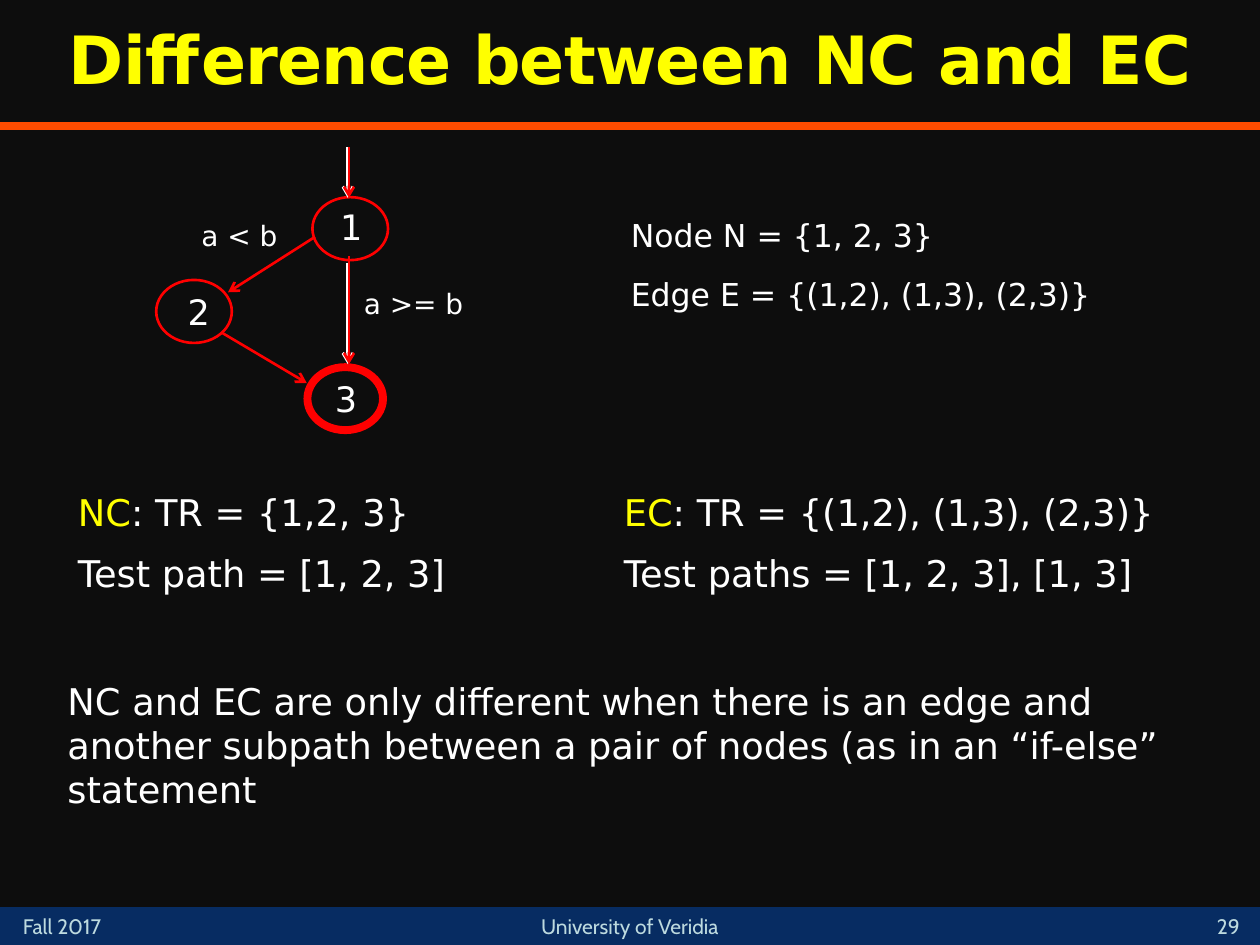
"""Build a slide on the difference between node and edge coverage."""
import dataclasses
import pptx
import pptx.util
import pptx.dml.color
import pptx.enum.shapes
import pptx.enum.text
import pptx.oxml.ns
import lxml.etree

ALIGN = pptx.enum.text.PP_ALIGN
ANCHOR = pptx.enum.text.MSO_ANCHOR
SHAPE = pptx.enum.shapes.MSO_SHAPE


@dataclasses.dataclass(frozen=True)
class Theme:
    ground: str = "0D0D0D"
    white: str = "FFFFFF"
    red: str = "FF0000"
    yellow: str = "FFFF00"
    rule: str = "FF4C00"
    band: str = "072C62"
    pale: str = "BDDADF"
    main: str = "DejaVu Sans"
    foot: str = "Cabin"
    title: int = 38
    body: int = 21
    node: int = 20
    sets: int = 18
    label: int = 16
    small: int = 12
    thin: float = 1.5
    thick: float = 4.5


def color(code):
    return pptx.dml.color.RGBColor.from_string(code)


def apply(target, values):
    for name, value in values.items():
        setattr(target, name, value)


class Deck:
    """Draw on one slide with a grid of 100 columns and 75 rows."""

    def __init__(self, theme):
        self.theme = theme
        self.file = pptx.Presentation()
        apply(self.file, {"slide_width": self.grid(100), "slide_height": self.grid(75)})
        self.slide = self.file.slides.add_slide(self.file.slide_layouts[6])
        fill = self.slide.background.fill
        fill.solid()
        fill.fore_color.rgb = color(theme.ground)

    def grid(self, count):
        return pptx.util.Inches(count / 10)

    def shape(self, kind, box, fill=None, line=None, width=1.5):
        item = self.slide.shapes.add_shape(kind, *map(self.grid, box))
        item.shadow.inherit = False
        for paint, code in ((item.fill, fill), (item.line.fill, line)):
            if code:
                paint.solid()
                paint.fore_color.rgb = color(code)
            else:
                paint.background()
        if line:
            item.line.width = pptx.util.Pt(width)

    def line(self, start, end, code, width, arrow=False):
        ends = map(self.grid, (*start, *end))
        item = self.slide.shapes.add_connector(pptx.enum.shapes.MSO_CONNECTOR.STRAIGHT, *ends)
        item.line.color.rgb = color(code)
        item.line.width = pptx.util.Pt(width)
        name = pptx.oxml.ns.qn
        if arrow:
            lxml.etree.SubElement(item.line._get_or_add_ln(), name("a:tailEnd"), type="arrow")
        lxml.etree.SubElement(item._element.spPr, name("a:effectLst"))

    def text(self, box, lines, size, code=None, face=None, align=ALIGN.LEFT,
             anchor=ANCHOR.TOP, gap=0, indent=0, bold=False, space=None, track=None):
        frame = self.slide.shapes.add_textbox(*map(self.grid, box)).text_frame
        apply(frame, {"word_wrap": True, "vertical_anchor": anchor})
        for count, parts in enumerate(lines):
            para = frame.add_paragraph() if count else frame.paragraphs[0]
            apply(para, {"alignment": align, "space_before": pptx.util.Pt(gap),
                         "line_spacing": space})
            if indent:
                para._p.get_or_add_pPr().set("marL", str(self.grid(indent)))
            for words, tint in parts:
                run = para.add_run()
                run.text = words
                apply(run.font, {"size": pptx.util.Pt(size), "bold": bold,
                                 "name": face or self.theme.main})
                run.font.color.rgb = color(tint or code or self.theme.white)
                if track:
                    run._r.get_or_add_rPr().set("spc", str(track))


theme = Theme()
deck = Deck(theme)

deck.shape(SHAPE.RECTANGLE, (0, 72, 100, 3), fill=theme.band)
deck.line((0, 10), (100, 10), theme.rule, theme.thick)
feet = (
    ("Fall 2017", (0.83, 72, 11.7, 3), ALIGN.LEFT, ANCHOR.TOP),
    ("29", (95, 71.7, 5, 3.3), ALIGN.CENTER, ANCHOR.BOTTOM),
    ("University of Veridia", (36.65, 72, 26.7, 3), ALIGN.CENTER, ANCHOR.TOP),
)
for words, box, align, anchor in feet:
    deck.text(box, [[(words, None)]], theme.small, theme.pale, theme.foot, align, anchor)

deck.text((0, 0, 100, 10), [[("Difference between NC and EC", None)]], theme.title,
          theme.yellow, align=ALIGN.CENTER, anchor=ANCHOR.MIDDLE, bold=True,
          space=0.9, track=-50)
deck.text((48.33, 16.65, 50.1, 19.1),
          [[("Node N = {1, 2, 3}", None)], [("Edge E = {(1,2), (1,3), (2,3)}", None)]],
          theme.sets, gap=12, indent=0.75)
deck.text((4.17, 53.35, 93.1, 13.7),
          [[("NC and EC are only different when there is an edge and another subpath "
             "between a pair of nodes (as in an “if-else” statement", None)]],
          theme.body, gap=30, indent=0.2)

nodes = (
    ("2", 12.4, 22.22, 12.85, 22.6, theme.thin, ALIGN.RIGHT),
    ("3", 24.4, 29.14, 25.6, 29.45, theme.thick, ALIGN.LEFT),
    ("1", 24.8, 15.65, 26, 15.8, theme.thin, ALIGN.LEFT),
)
for name, left, top, side, head, width, align in nodes:
    deck.shape(SHAPE.OVAL, (left, top, 6, 5), line=theme.red, width=width)
    deck.text((side, head, 4.8, 5.6), [[(name, None)]], theme.node, align=align)

edges = [((25, 18.8), (18.1, 23.2)), ((17.6, 26.4), (24.35, 30.4))]
for start, end in edges:
    deck.line(start, end, theme.red, theme.thin, arrow=True)
for code, stem, drop in ((theme.white, 27.6, 20.9), (theme.red, 27.7, 20.3)):
    for top, low in ((11.65, 15.7), (drop, 28.9)):
        deck.line((stem, top), (stem, low), code, theme.thin, arrow=True)

for words, box in (("a < b", (15, 16.85, 8.4, 3.7)), ("a >= b", (27.9, 22.25, 10, 3.7))):
    deck.text(box, [[(words, None)]], theme.label)

rules = (
    (5, 41.7, "NC", ": TR = {1,2, 3}", "Test path = [1, 2, 3]"),
    (48.33, 48.3, "EC", ": TR = {(1,2), (1,3), (2,3)}", "Test paths = [1, 2, 3], [1, 3]"),
)
for left, width, name, needs, tests in rules:
    deck.text((left, 38.35, width, 13.7),
              [[(name, theme.yellow), (needs, None)], [(tests, None)]],
              theme.body, gap=10, indent=0.2)

deck.file.save("out.pptx")
